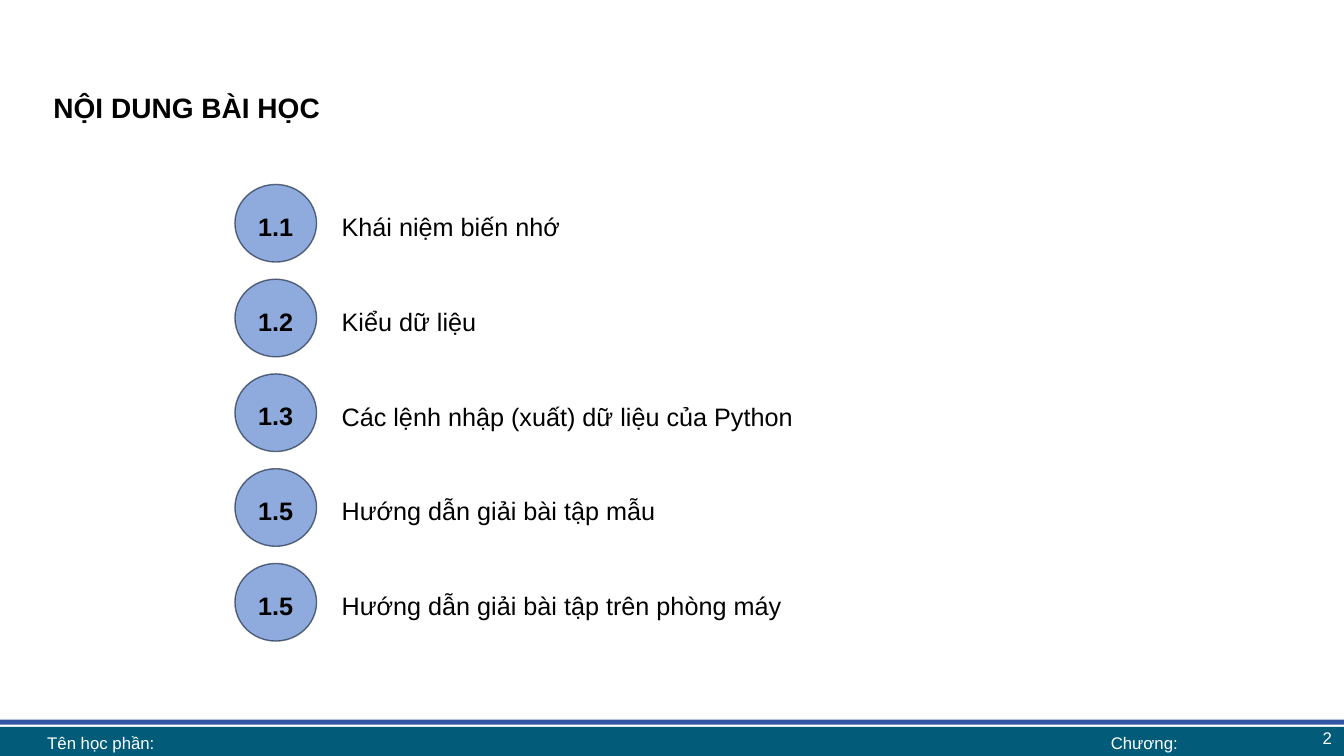
from lxml import etree
from pptx import Presentation
from pptx.dml.color import RGBColor
from pptx.enum.shapes import MSO_SHAPE as Shape
from pptx.enum.text import MSO_ANCHOR as Anchor, MSO_AUTO_SIZE as AutoSize, PP_ALIGN as Align
from pptx.oxml.ns import qn
from pptx.util import Inches, Pt

COLORS = {
    "text": "000000",
    "footer_text": "FFFFFF",
    "footer": "025B79",
    "rule": "3256A4",
    "badge": "8FAADC",
    "badge_line": "08172E",
}
FIRST_TOP, ROW_PITCH = 1.83, 0.94
BADGE_LEFT, BADGE_WIDTH, BADGE_HEIGHT = 2.33, 0.81, 0.77
LABEL_LEFT, LABEL_DROP, LABEL_HEIGHT = 3.29, 0.17, 0.42


def write(box, text, size, color, align, bold=False, spacing=None, anchor=Anchor.MIDDLE):
    """Fill a shape with one formatted paragraph."""
    frame = box.text_frame
    frame.text = text
    frame.word_wrap = True
    frame.auto_size = AutoSize.NONE
    frame.vertical_anchor = anchor
    paragraph = frame.paragraphs[0]
    paragraph.alignment = align
    if spacing:
        paragraph.line_spacing = spacing
        paragraph.space_before = Pt(5)
    font = paragraph.runs[0].font
    font.name, font.size, font.bold = "Arial", Pt(size), bold
    font.color.rgb = RGBColor.from_string(COLORS[color])


def add_filled(kind, left, top, width, height, color):
    shape = slide.shapes.add_shape(kind, *map(Inches, (left, top, width, height)))
    shape.shadow.inherit = False
    shape.fill.solid()
    shape.fill.fore_color.rgb = RGBColor.from_string(COLORS[color])
    shape.line.fill.background()
    return shape


deck = Presentation()
deck.slide_width, deck.slide_height = Inches(13.33), Inches(7.5)
slide = deck.slides.add_slide(deck.slide_layouts[5])

# Heading
heading = slide.shapes.title
heading.left, heading.top, heading.width, heading.height = map(Inches, (0.43, 0.78, 12.47, 0.87))
write(heading, "NỘI DUNG BÀI HỌC", 20, "text", Align.JUSTIFY, True, 1.2, Anchor.TOP)

# Footer
add_filled(Shape.RECTANGLE, 0, 7.21, 13.33, 0.31, "footer")
add_filled(Shape.RECTANGLE, -0.01, 7.14, 13.36, 0.05, "rule")
footer_items = [
    ("2", 10.31, 7.14, 3, 0.35, Align.RIGHT),
    ("Chương:", 10.6, 7.21, 1.5, 0.31, Align.CENTER),
    ("Tên học phần:", 0.37, 7.21, 10.24, 0.31, Align.LEFT),
]
for text, left, top, width, height, align in footer_items:
    item = slide.shapes.add_textbox(*map(Inches, (left, top, width, height)))
    item.text_frame.margin_top = item.text_frame.margin_bottom = 0
    write(item, text, 12, "footer_text", align)

# Lesson contents
lessons = [
    ("1.1", "Khái niệm biến nhớ", 7.57),
    ("1.2", "Kiểu dữ liệu", 7.62),
    ("1.3", "Các lệnh nhập (xuất) dữ liệu của Python", 5.06),
    ("1.5", "Hướng dẫn giải bài tập mẫu", 6.2),
    ("1.5", "Hướng dẫn giải bài tập trên phòng máy", 6.2),
]
for row, (number, topic, width) in enumerate(lessons):
    top = FIRST_TOP + row * ROW_PITCH
    badge = add_filled(Shape.OVAL, BADGE_LEFT, top, BADGE_WIDTH, BADGE_HEIGHT, "badge")
    badge.line.color.rgb = RGBColor.from_string(COLORS["badge_line"])
    badge.line.width = Pt(1)
    line_color = badge.line.fill._xPr.find(".//" + qn("a:srgbClr"))
    etree.SubElement(line_color, qn("a:alpha"), val="60000")
    write(badge, number, 18, "text", Align.CENTER, True, 1.2)

    label = slide.shapes.add_textbox(
        *map(Inches, (LABEL_LEFT, top + LABEL_DROP, width, LABEL_HEIGHT)))
    write(label, topic, 18, "text", Align.JUSTIFY, spacing=Pt(25), anchor=Anchor.TOP)
    label.text_frame.auto_size = AutoSize.SHAPE_TO_FIT_TEXT

deck.save("out.pptx")
